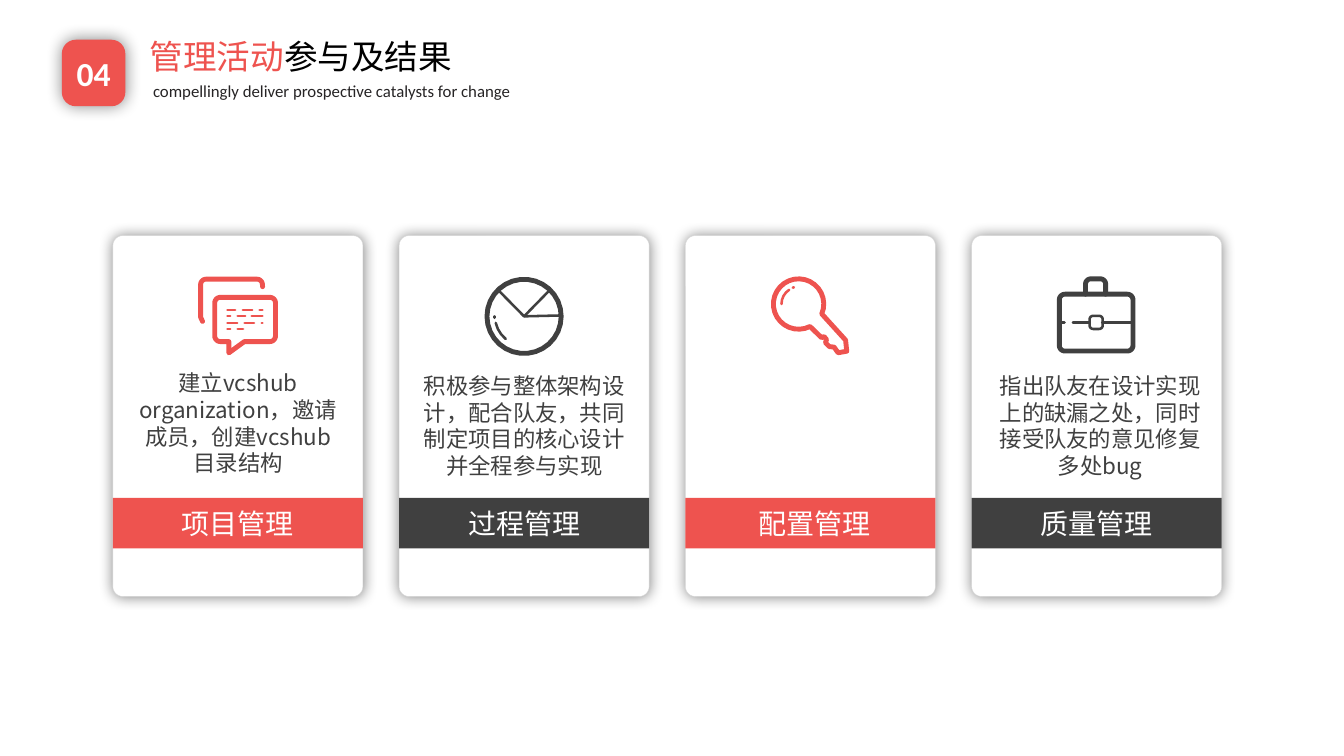
import math
from dataclasses import dataclass

from lxml import etree
from pptx import Presentation
from pptx.dml.color import RGBColor
from pptx.enum import shapes, text
from pptx.oxml.ns import qn
from pptx.util import Pt


@dataclass(frozen=True)
class Theme:
    red: str = "EE534F"
    dark: str = "404040"
    white: str = "FFFFFF"
    black: str = "000000"
    edge: str = "D9D9D9"
    caption: str = "262425"
    latin: str = "Calibri"
    cjk: str = "Noto Sans CJK SC"
    heading: int = 24
    label: int = 20
    body: int = 16
    subtitle: int = 12
    leading: float = 1.2
    bold_stroke: float = 3.5
    thin_stroke: float = 1.8
    shadow_alpha: int = 48000


THEME = Theme()
CARD = dict(left=80.64, top=168.3, width=178.56, height=257.76, pitch=204.48)
BAND_TOP, BAND_HEIGHT = 355.68, 36
ICON_INSET, ICON_TOP = 60.84, 197.6


def rgb(value):
    return RGBColor.from_string(value)


def box(left, top, width, height):
    return Pt(left), Pt(top), Pt(width), Pt(height)


def add_block(slide, kind, area, fill, edge=None, radius=None, blur=None):
    """Add a filled shape, with a soft centred shadow when blur is given."""
    block = slide.shapes.add_shape(kind, *box(*area))
    block.fill.solid()
    block.fill.fore_color.rgb = rgb(fill)
    if edge:
        block.line.color.rgb = rgb(edge)
        block.line.width = Pt(0.25)
    else:
        block.line.fill.background()
    if radius:
        block.adjustments[0] = radius
    block.shadow.inherit = False
    if blur:
        effects = block._element.spPr.find(qn("a:effectLst"))
        glow = etree.SubElement(effects, qn("a:outerShdw"), blurRad=str(Pt(blur)),
                                dist="0", dir="0", algn="ctr", rotWithShape="0")
        tint = etree.SubElement(glow, qn("a:srgbClr"), val=THEME.black)
        etree.SubElement(tint, qn("a:alpha"), val=str(THEME.shadow_alpha))
    return block


def write(frame, runs, size, font, align, bold=False, leading=None, **layout):
    """Fill a text frame with one paragraph of (wording, colour) runs."""
    for name, value in layout.items():
        setattr(frame, name, value)
    paragraph = frame.paragraphs[0]
    paragraph.alignment = align
    if leading:
        paragraph.line_spacing = Pt(size * leading)
    for wording, colour in runs:
        run = paragraph.add_run()
        run.text = wording
        formats = dict(size=Pt(size), name=font, bold=bold)
        for name, value in formats.items():
            setattr(run.font, name, value)
        run.font.color.rgb = rgb(colour)
        latin = run._r.rPr.find(qn("a:latin"))
        latin.addnext(etree.Element(qn("a:ea"), typeface=THEME.cjk))


def add_text(slide, area, *args, **formats):
    frame = slide.shapes.add_textbox(*box(*area)).text_frame
    write(frame, *args, auto_size=text.MSO_AUTO_SIZE.SHAPE_TO_FIT_TEXT, **formats)


def arc(x, y, radius, start, end):
    """Points on a circle; degrees run clockwise from the right."""
    steps = max(3, abs(end - start) // 12)
    angles = [math.radians(start + (end - start) * i / steps) for i in range(steps + 1)]
    return [(x + radius * math.cos(a), y + radius * math.sin(a)) for a in angles]


def rounded(x, y, width, height, radius):
    right, bottom = x + width - radius, y + height - radius
    x, y = x + radius, y + radius
    return (arc(x, y, radius, 180, 270) + arc(right, y, radius, 270, 360)
            + arc(right, bottom, radius, 0, 90) + arc(x, bottom, radius, 90, 180))


def chat_icon():
    """Return the bold and the thin contours, as each icon function does."""
    back = [(46.1, 7.2)] + arc(42, 5.8, 4, 0, -90) + arc(5.8, 5.8, 4, 270, 180) + [(1.8, 29), (3.2, 32)]
    tail = [(33.1, 46.4), (22, 54.5), (22, 46.4)]
    front = rounded(11.9, 14.8, 43.4, 31.6, 4)
    corner = len(front) * 3 // 4
    bubble = front[:corner] + tail + front[corner:] + front[:1]
    writing = {
        23.8: [(21, 26.5), (32, 38.7), (44, 46)],
        28.1: [(21, 23), (28.3, 33.7), (38.3, 46)],
        33.1: [(21, 28), (33.3, 40), (45.5, 46)],
        37.4: [(21, 23), (28.3, 32.2)],
    }
    return [back, bubble], [[(a, y), (b, y)] for y, dashes in writing.items() for a, b in dashes]


def pie_icon():
    centre = (28.4, 28.4)
    spokes = [[centre, rim] for rim in ((10, 9.7), (46.4, 10), (53.5, 27.8))]
    return [arc(*centre, 26.5, 0, 360)], spokes + [
        arc(*centre, 20.8, 167, 129), [(7.1, 28.4), (7.1, 29.4)]]


def key_icon():
    bow = (20, 19.6)
    blade = [(53.6, 45.4), (54.4, 53.3), (48.2, 54.4), (45.4, 50.4), (42, 50),
             (39.2, 47.2), (40, 45), (38.2, 42.8), (36.4, 43.6)]
    head = arc(*bow, 18, 63, 383)
    return [head + blade + head[:1]], [arc(*bow, 12.2, 180, 237), [(15.9, 7.9), (16.7, 7.6)]]


def briefcase_icon():
    handle = [(20.5, 12.6)] + arc(24.3, 5.4, 3.8, 180, 270) + arc(31.1, 5.4, 3.8, 270, 360) + [(34.9, 12.6)]
    case = rounded(1.8, 12.6, 52.6, 40.6, 4)
    strap = [[(a, 32.6), (b, 32.6)] for a, b in ((1.8, 5.5), (11.5, 23), (32.4, 54))]
    clasp = rounded(23.4, 28, 9.4, 9.4, 2.6)
    return [case + case[:1], handle], strap + [clasp + clasp[:1]]


def add_strokes(slide, origin, colour, weight, contours):
    """Draw contours, relative to origin, as one outline with round ends and joins."""
    contours = [[(Pt(origin[0] + x), Pt(origin[1] + y)) for x, y in line] for line in contours]
    builder = slide.shapes.build_freeform(*contours[0][0])
    for index, (start, *rest) in enumerate(contours):
        if index:
            builder.move_to(*start)
        builder.add_line_segments(rest, close=rest[-1] == start)
    drawing = builder.convert_to_shape()
    drawing.fill.background()
    drawing.line.color.rgb = rgb(colour)
    drawing.line.width = Pt(weight)
    drawing.shadow.inherit = False
    outline = drawing._element.spPr.find(qn("a:ln"))
    outline.set("cap", "rnd")
    etree.SubElement(outline, qn("a:round"))


def add_icon(slide, origin, colour, icon):
    for weight, contours in zip((THEME.bold_stroke, THEME.thin_stroke), icon()):
        add_strokes(slide, origin, colour, weight, contours)


def add_card(slide, index, colour, icon, label, body, label_shift=0, body_shift=(0, 0)):
    left, width = CARD["left"] + index * CARD["pitch"], CARD["width"]
    centred = dict(align=text.PP_ALIGN.CENTER, leading=THEME.leading)
    kinds = shapes.MSO_SHAPE
    add_block(slide, kinds.ROUNDED_RECTANGLE, (left, CARD["top"], width, CARD["height"]),
              THEME.white, THEME.edge, 0.04, blur=10)
    add_block(slide, kinds.RECTANGLE, (left, BAND_TOP, width, BAND_HEIGHT), colour)
    add_icon(slide, (left + ICON_INSET, ICON_TOP), colour, icon)
    add_text(slide, (left + width / 2 - 47.5 + label_shift, 358, 95, 31.7),
             [(label, THEME.white)], THEME.label, THEME.cjk, word_wrap=False, **centred)
    if body:
        across, down = body_shift
        add_text(slide, (left + 8.4 + across, 262 + down, 162, 85), [(body, THEME.dark)],
                 THEME.body, THEME.cjk, word_wrap=True, **centred)


def add_header(slide):
    badge = add_block(slide, shapes.MSO_SHAPE.ROUNDED_RECTANGLE, (44.2, 28.4, 45.36, 47.52),
                      THEME.red, radius=0.22, blur=12)
    middle = text.MSO_ANCHOR.MIDDLE
    write(badge.text_frame, [("04", THEME.white)], THEME.heading, THEME.latin,
          text.PP_ALIGN.CENTER, bold=True, vertical_anchor=middle, word_wrap=False)
    title = slide.shapes.title
    title.left, title.top, title.width, title.height = box(99.7, 15.12, 259.2, 50.4)
    write(title.text_frame, [("管理活动", THEME.red), ("参与及结果", THEME.black)],
          THEME.heading, THEME.latin, text.PP_ALIGN.LEFT, vertical_anchor=middle,
          word_wrap=True, auto_size=text.MSO_AUTO_SIZE.NONE)
    add_text(slide, (102.24, 54, 288, 21.6),
             [("compellingly deliver prospective catalysts for change", THEME.caption)],
             THEME.subtitle, THEME.latin, text.PP_ALIGN.JUSTIFY, word_wrap=True)


def main():
    deck = Presentation()
    deck.slide_width, deck.slide_height = Pt(960), Pt(540)
    slide = deck.slides.add_slide(deck.slide_layouts.get_by_name("Title Only"))
    add_header(slide)
    cards = [
        (THEME.red, chat_icon, "项目管理",
         "建立vcshub organization，邀请成员，创建vcshub目录结构", 0, (0, -2)),
        (THEME.dark, pie_icon, "过程管理",
         "积极参与整体架构设计，配合队友，共同制定项目的核心设计并全程参与实现"),
        (THEME.red, key_icon, "配置管理", None, 2.9),
        (THEME.dark, briefcase_icon, "质量管理",
         "指出队友在设计实现上的缺漏之处，同时接受队友的意见修复多处bug", 0, (2.4, 0)),
    ]
    for index, card in enumerate(cards):
        add_card(slide, index, *card)
    deck.save("out.pptx")


if __name__ == "__main__":
    main()
